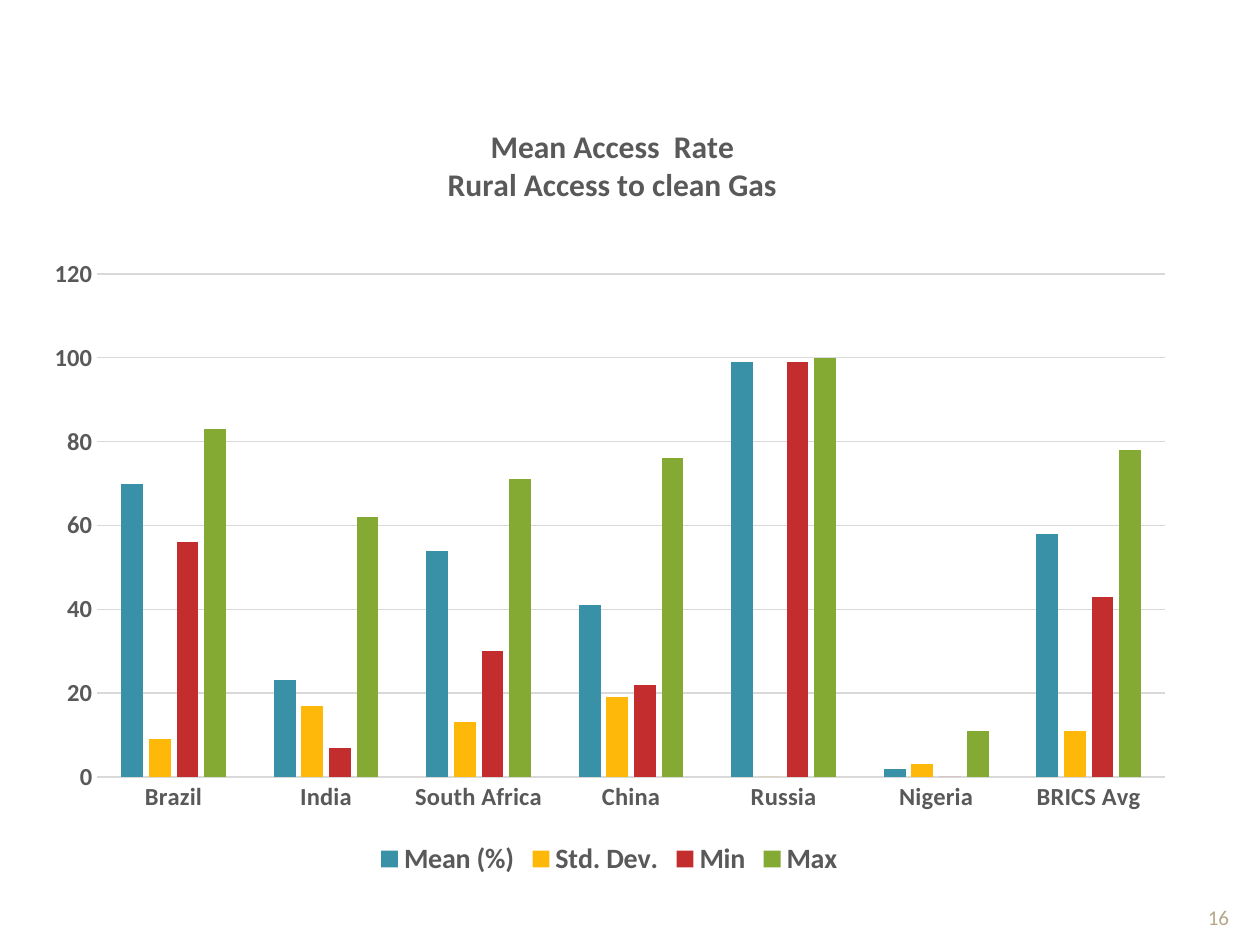
"""Builds the slide comparing rural access to clean gas across the BRICS countries."""
from dataclasses import dataclass
from typing import Any, NamedTuple

from pptx import Presentation
from pptx.chart.data import CategoryChartData
from pptx.dml.color import RGBColor
from pptx.enum.chart import XL_CHART_TYPE, XL_LEGEND_POSITION, XL_TICK_MARK
from pptx.enum.text import MSO_ANCHOR, PP_ALIGN
from pptx.oxml import parse_xml
from pptx.oxml.ns import nsdecls, qn
from pptx.util import Inches, Pt


@dataclass(frozen=True)
class Theme:
    font: str = "Calibri"
    ink: str = "595959"
    rule: str = "D9D9D9"
    folio: str = "B6A98A"
    rule_width: float = 0.75
    base_size: int = 10
    folio_size: int = 12
    axis_size: int = 14
    legend_size: int = 16
    title_size: int = 18


class Share(NamedTuple):
    left: float
    top: float
    width: float
    height: float


class Measure(NamedTuple):
    name: str
    color: str
    values: tuple[int, ...]


THEME = Theme()
SLIDE_WIDTH, SLIDE_HEIGHT = Inches(10), Inches(7.5)
CHART_AREA = Share(0.025, 0.1, 0.917, 0.833)
PLOT_AREA = Share(0.057, 0.228, 0.924, 0.639)
FOLIO_AREA = Share(0.942, 0.92, 0.05, 0.07)
TITLE_LEFT, TITLE_TOP = 0.357, 0.035
TITLE_LINES = ("Mean Access  Rate", "Rural Access to clean Gas")
COUNTRIES = ("Brazil", "India", "South Africa", "China", "Russia", "Nigeria", "BRICS Avg")
MEASURES = (
    Measure("Mean (%)", "3891A7", (70, 23, 54, 41, 99, 2, 58)),
    Measure("Std. Dev.", "FEB80A", (9, 17, 13, 19, 0, 3, 11)),
    Measure("Min", "C32D2E", (56, 7, 30, 22, 99, 0, 43)),
    Measure("Max", "84AA33", (83, 62, 71, 76, 100, 11, 78)),
)


def on_slide(area: Share) -> tuple[int, ...]:
    """Turn shares of the slide into lengths."""
    sides = (SLIDE_WIDTH, SLIDE_HEIGHT) * 2
    return tuple(int(share * side) for share, side in zip(area, sides))


def style_font(font: Any, size: int, color: str, bold: bool = False) -> None:
    """Set face, size, colour and weight."""
    font.name = THEME.font
    font.size = Pt(size)
    font.bold = bold
    font.color.rgb = RGBColor.from_string(color)


def style_rule(line: Any) -> None:
    """Give a line the thin grey look of the chart grid."""
    line.color.rgb = RGBColor.from_string(THEME.rule)
    line.width = Pt(THEME.rule_width)


def manual_layout(target: str = "", **shares: float) -> Any:
    """Make a chart layout element from shares of the chart."""
    modes = "".join(f'<c:{key}Mode val="edge"/>' for key in shares if key in "xy")
    places = "".join(f'<c:{key} val="{share}"/>' for key, share in shares.items())
    return parse_xml(
        f'<c:layout {nsdecls("c")}><c:manualLayout>{target}{modes}{places}'
        "</c:manualLayout></c:layout>"
    )


def write_title(chart: Any) -> None:
    """Write and place the two title lines."""
    chart.has_title = True
    title = chart.chart_title
    title.include_in_layout = False
    frame = title.text_frame
    for index, line in enumerate(TITLE_LINES):
        paragraph = frame.add_paragraph() if index else frame.paragraphs[0]
        run = paragraph.add_run()
        run.text = line
        style_font(run.font, THEME.title_size, THEME.ink, True)
    element = title._element
    for layout in element.findall(qn("c:layout")):
        element.remove(layout)
    element.find(qn("c:tx")).addnext(manual_layout(x=TITLE_LEFT, y=TITLE_TOP))


def style_axes(chart: Any) -> None:
    """Style both axes and the gridlines."""
    for axis in (chart.category_axis, chart.value_axis):
        axis.major_tick_mark = axis.minor_tick_mark = XL_TICK_MARK.NONE
        style_font(axis.tick_labels.font, THEME.axis_size, THEME.ink, True)
    style_rule(chart.category_axis.format.line)
    values = chart.value_axis
    values.format.line.fill.background()
    values.minimum_scale, values.maximum_scale, values.major_unit = 0, 120, 20
    values.has_major_gridlines = True
    style_rule(values.major_gridlines.format.line)


def add_access_chart(slide: Any) -> None:
    """Add the clustered columns of access rates."""
    rates = CategoryChartData(number_format="General")
    rates.categories = COUNTRIES
    for measure in MEASURES:
        rates.add_series(measure.name, measure.values)
    chart = slide.shapes.add_chart(
        XL_CHART_TYPE.COLUMN_CLUSTERED, *on_slide(CHART_AREA), rates
    ).chart
    style_font(chart.font, THEME.base_size, "000000")
    write_title(chart)
    style_axes(chart)
    columns = chart.plots[0]
    columns.gap_width, columns.overlap = 219, -27
    columns.vary_by_categories = False
    for series, measure in zip(columns.series, MEASURES):
        series.invert_if_negative = False
        series.format.fill.solid()
        series.format.fill.fore_color.rgb = RGBColor.from_string(measure.color)
    chart.has_legend = True
    chart.legend.position = XL_LEGEND_POSITION.BOTTOM
    chart.legend.include_in_layout = False
    style_font(chart.legend.font, THEME.legend_size, THEME.ink, True)
    plot_area = chart._chartSpace.chart.plotArea
    for layout in plot_area.findall(qn("c:layout")):
        plot_area.remove(layout)
    x, y, w, h = PLOT_AREA
    inner = '<c:layoutTarget val="inner"/>'
    plot_area.insert(0, manual_layout(inner, x=x, y=y, w=w, h=h))


def add_folio(slide: Any, number: str) -> None:
    """Add the page number in the lower right corner."""
    frame = slide.shapes.add_textbox(*on_slide(FOLIO_AREA)).text_frame
    frame.word_wrap = True
    frame.vertical_anchor = MSO_ANCHOR.BOTTOM
    paragraph = frame.paragraphs[0]
    paragraph.alignment = PP_ALIGN.CENTER
    run = paragraph.add_run()
    run.text = number
    style_font(run.font, THEME.folio_size, THEME.folio)


def main() -> None:
    """Build and save the slide."""
    deck = Presentation()
    deck.slide_width, deck.slide_height = SLIDE_WIDTH, SLIDE_HEIGHT
    slide = deck.slides.add_slide(deck.slide_layouts[6])
    add_folio(slide, "16")
    add_access_chart(slide)
    deck.save("out.pptx")


if __name__ == "__main__":
    main()
